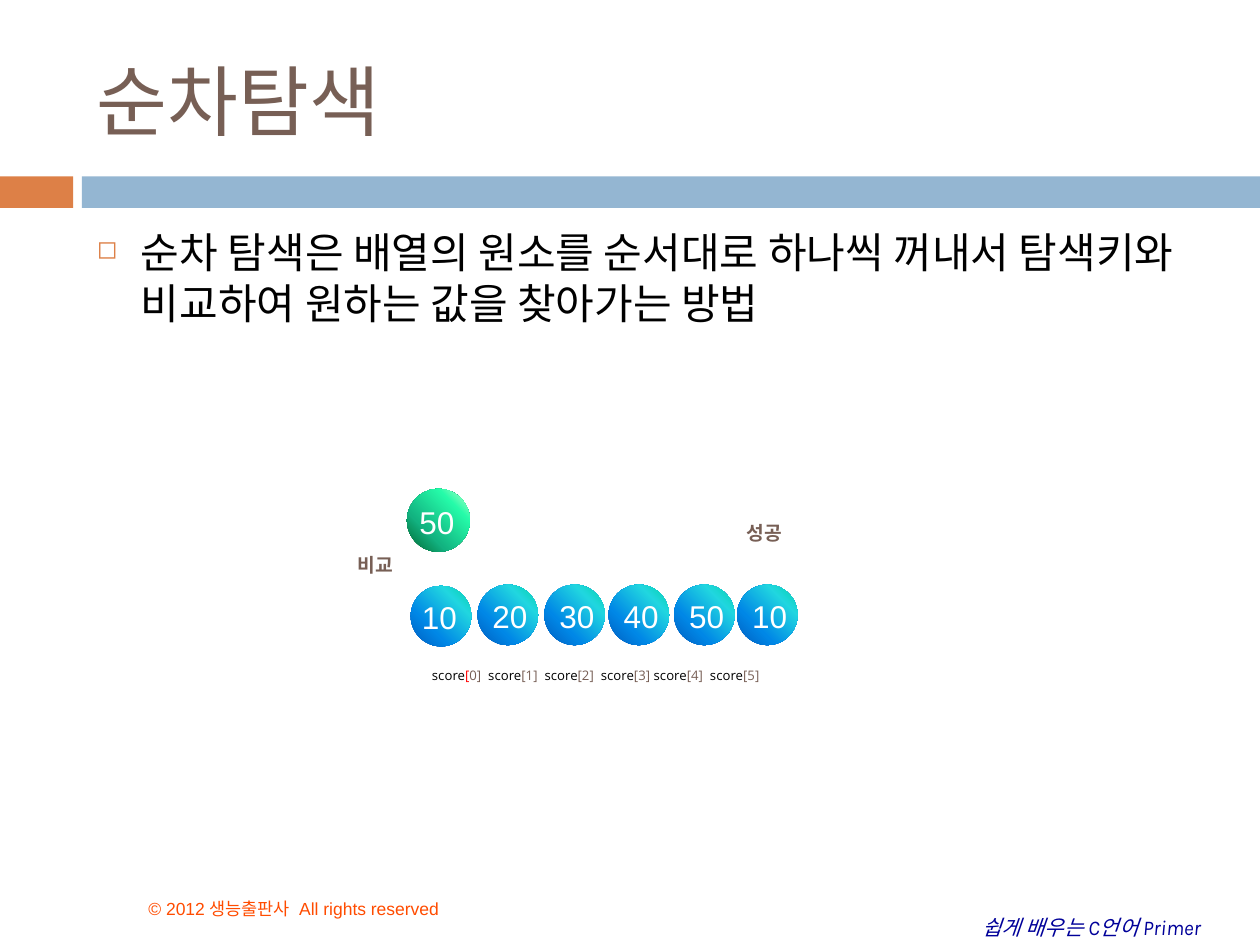
from typing import NamedTuple

import pptx
import pptx.dml.color
import pptx.enum.shapes
import pptx.enum.text
import pptx.oxml
import pptx.oxml.ns
import pptx.util

Inches = pptx.util.Inches
RGBColor = pptx.dml.color.RGBColor
Anchor = pptx.enum.text.MSO_ANCHOR

WHITE = RGBColor(0xFF, 0xFF, 0xFF)
BLACK = RGBColor(0x00, 0x00, 0x00)
RED = RGBColor(0xFF, 0x00, 0x00)
BROWN = RGBColor(0x77, 0x5F, 0x55)
ORANGE = RGBColor(0xDD, 0x80, 0x47)
BLUE = RGBColor(0x94, 0xB6, 0xD2)
NAVY = RGBColor(0x00, 0x00, 0x99)
COPYRIGHT_ORANGE = RGBColor(0xFF, 0x4C, 0x00)

GRADIENT_POSITIONS = (0, 25, 68, 100)
BLUE_GRADIENT = (
    RGBColor(0x03, 0xD4, 0xA8),
    RGBColor(0x21, 0xD6, 0xE0),
    RGBColor(0x00, 0x87, 0xE6),
    RGBColor(0x00, 0x5C, 0xBF),
)
GREEN_GRADIENT = (
    RGBColor(0xCC, 0xFF, 0xCC),
    RGBColor(0x25, 0xFB, 0xA9),
    RGBColor(0x12, 0xB2, 0x80),
    RGBColor(0x00, 0x64, 0x2D),
)


class Box(NamedTuple):
    left: float
    top: float
    width: float
    height: float

    def lengths(self) -> list:
        return [Inches(value) for value in self]


class Ball(NamedTuple):
    number: str
    circle: Box
    label: Box
    colors: tuple = BLUE_GRADIENT


BALLS = [Ball("10", Box(3.26, 4.65, 0.48, 0.48), Box(3.25, 4.7, 0.56, 0.4))]
BALLS += [
    Ball(number, Box(left, 4.64, 0.48, 0.48), Box(left + 0.02, 4.69, 0.48, 0.4))
    for number, left in zip(
        ("20", "30", "40", "50", "10"), (3.79, 4.32, 4.83, 5.35, 5.85)
    )
]
BALLS.append(
    Ball("50", Box(3.23, 3.88, 0.5, 0.5), Box(3.23, 3.94, 0.48, 0.4), GREEN_GRADIENT)
)


def add_text(
    shapes,
    text: str | list,
    box: Box,
    *,
    size: float,
    font: str = "Arial",
    east_asian_font: str | None = None,
    color: RGBColor = BLACK,
    bold: bool = False,
    italic: bool = False,
    anchor: Anchor = Anchor.TOP,
    wrap: bool = True,
    bullet: str | None = None,
) -> None:
    frame = shapes.add_textbox(*box.lengths()).text_frame
    frame.word_wrap = wrap
    frame.vertical_anchor = anchor
    paragraph = frame.paragraphs[0]
    if bullet:
        add_bullet(paragraph, bullet)
    runs = [(text, color)] if isinstance(text, str) else text
    for content, run_color in runs:
        run = paragraph.add_run()
        run.text = content
        run.font.size = pptx.util.Pt(size)
        run.font.bold = bold
        run.font.italic = italic
        run.font.color.rgb = run_color
        run.font.name = font
        latin = run.font._element.find(pptx.oxml.ns.qn("a:latin"))
        latin.addnext(
            pptx.oxml.parse_xml(
                f'<a:ea {pptx.oxml.ns.nsdecls("a")} '
                f'typeface="{east_asian_font or font}"/>'
            )
        )


def add_bullet(paragraph, character: str) -> None:
    properties = paragraph._p.get_or_add_pPr()
    properties.set("marL", str(Inches(0.35)))
    properties.set("indent", str(Inches(-0.35)))
    namespace = pptx.oxml.ns.nsdecls("a")
    for element in (
        f'<a:buClr {namespace}><a:srgbClr val="{ORANGE}"/></a:buClr>',
        f'<a:buSzPct {namespace} val="60000"/>',
        f'<a:buChar {namespace} char="{character}"/>',
    ):
        properties.append(pptx.oxml.parse_xml(element))


def add_plain_shape(shapes, kind, box: Box):
    shape = shapes.add_shape(kind, *box.lengths())
    shape.shadow.inherit = False
    shape.line.fill.background()
    return shape


def add_bar(shapes, box: Box, color: RGBColor) -> None:
    bar = add_plain_shape(shapes, pptx.enum.shapes.MSO_SHAPE.RECTANGLE, box)
    bar.fill.solid()
    bar.fill.fore_color.rgb = color


def add_ball(slide, ball: Ball) -> None:
    group = slide.shapes.add_group_shape()
    circle = add_plain_shape(
        group.shapes, pptx.enum.shapes.MSO_SHAPE.OVAL, ball.circle
    )
    stops = "".join(
        f'<a:gs pos="{position * 1000}"><a:srgbClr val="{color}"/></a:gs>'
        for position, color in zip(GRADIENT_POSITIONS, ball.colors)
    )
    gradient = pptx.oxml.parse_xml(
        f'<a:gradFill {pptx.oxml.ns.nsdecls("a")} rotWithShape="1">'
        f'<a:gsLst>{stops}</a:gsLst><a:path path="circle">'
        '<a:fillToRect l="100000" b="100000"/></a:path></a:gradFill>'
    )
    geometry = circle._element.spPr.find(pptx.oxml.ns.qn("a:prstGeom"))
    geometry.addnext(gradient)
    add_text(group.shapes, ball.number, ball.label, size=18, color=WHITE)


def score_runs() -> list:
    runs = [("score", BLACK), ("[", RED), ("0]  ", BROWN)]
    for ending in ("[1]  ", "[2]  ", "[3] ", "[4]  ", "[5]"):
        runs += [("score", BLACK), (ending, BROWN)]
    return runs


def main() -> None:
    presentation = pptx.Presentation()
    presentation.slide_width = Inches(10)
    presentation.slide_height = Inches(7.5)
    slide = presentation.slides.add_slide(presentation.slide_layouts[6])
    shapes = slide.shapes

    add_bar(shapes, Box(0, 1.4, 0.58, 0.25), ORANGE)
    add_bar(shapes, Box(0.65, 1.4, 9.35, 0.25), BLUE)
    add_text(shapes, "쉽게 배우는 C언어 Primer", Box(7.7, 7.21, 2.18, 0.3),
             size=12, font="Karla", color=NAVY, italic=True, wrap=False)
    add_text(shapes, "© 2012 생능출판사  All rights reserved",
             Box(1.08, 6.92, 3.83, 0.42),
             size=10, color=COPYRIGHT_ORANGE, anchor=Anchor.BOTTOM)
    add_text(shapes, "순차탐색", Box(0.67, 0.25, 8.92, 1.08),
             size=44, font="Calibri", color=BROWN, anchor=Anchor.MIDDLE)
    add_text(shapes,
             "순차 탐색은 배열의 원소를 순서대로 하나씩 꺼내서 탐색키와 "
             "비교하여 원하는 값을 찾아가는 방법",
             Box(0.67, 1.75, 8.92, 4.92),
             size=24, east_asian_font="Calibri", bullet="◻")

    for ball in BALLS:
        add_ball(slide, ball)
    for label, box in (
        ("비교", Box(2.74, 4.34, 0.51, 0.29)),
        ("성공", Box(5.83, 4.09, 0.52, 0.28)),
    ):
        add_text(shapes, label, box, size=11, font="Noto Sans CJK KR",
                 color=BROWN, bold=True)
    add_text(shapes, score_runs(), Box(3.33, 5.25, 3.33, 0.23),
             size=7.5, font="Open Sans")

    presentation.save("out.pptx")


if __name__ == "__main__":
    main()
